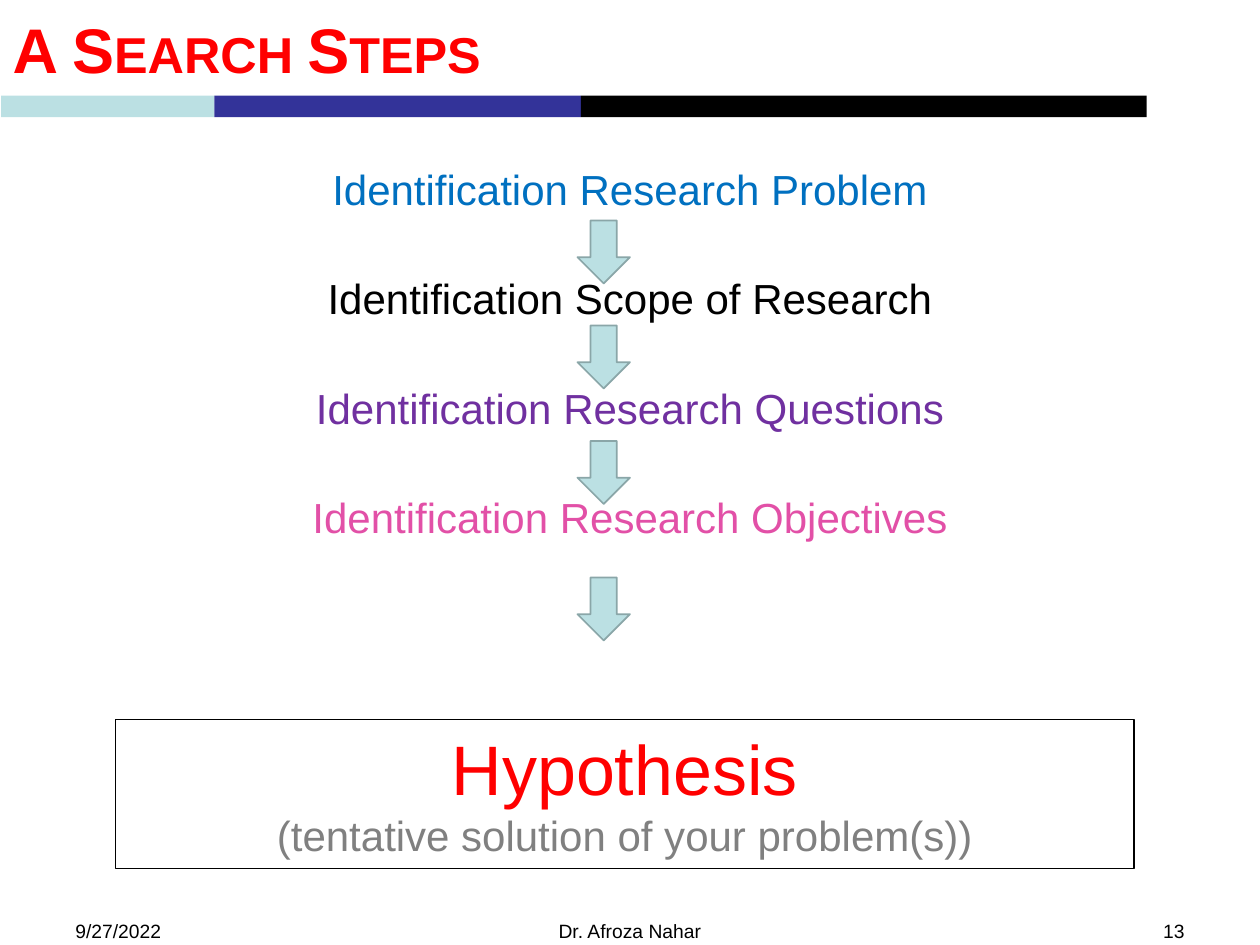
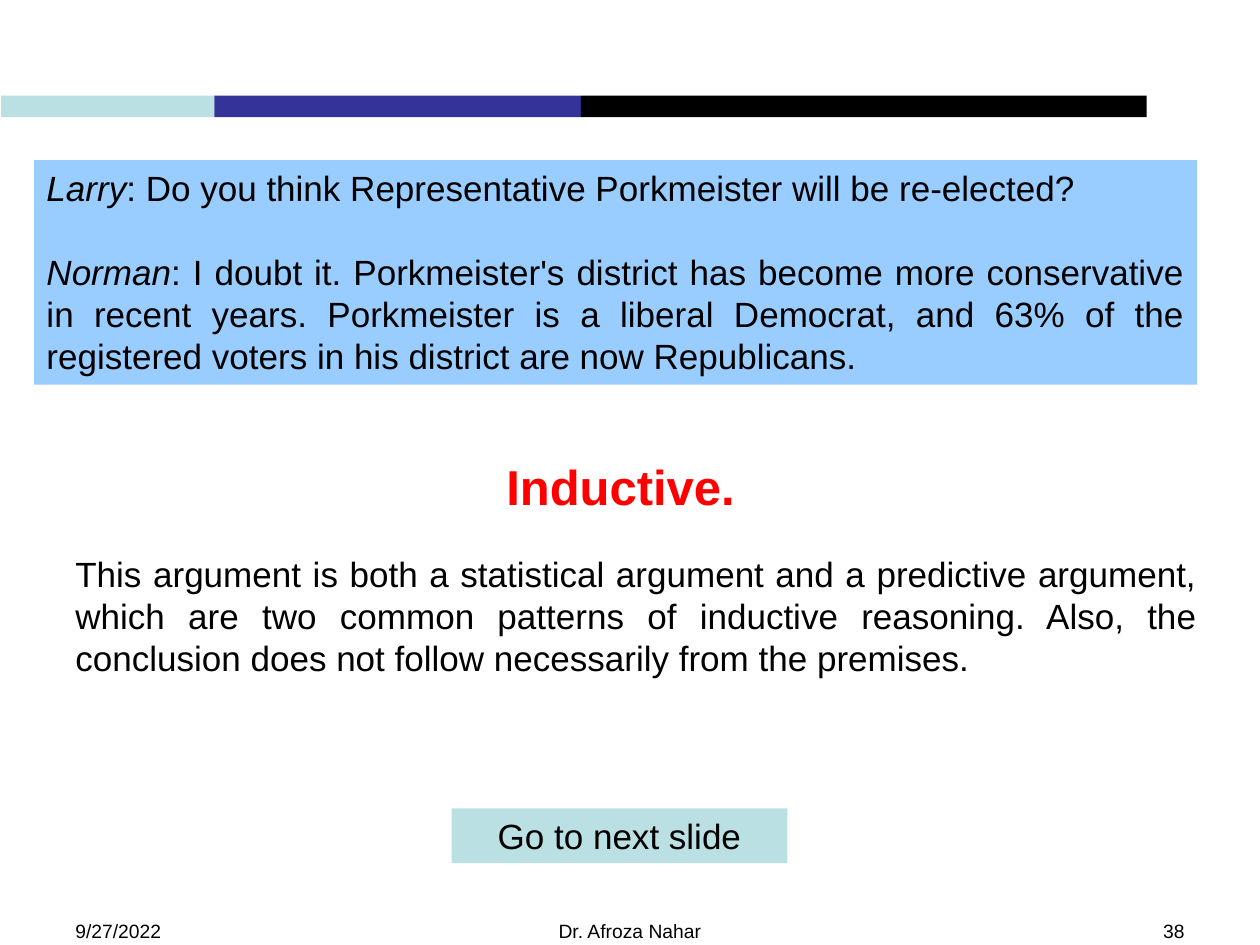
import pptx
import pptx.util
from pptx.dml.color import RGBColor
from pptx.enum.shapes import MSO_SHAPE
from pptx.enum.text import MSO_ANCHOR, MSO_AUTO_SIZE, PP_ALIGN

PALE_TEAL = RGBColor(0xBB, 0xE0, 0xE3)
TEAL_EDGE = RGBColor(0x8A, 0xA6, 0xA8)
INDIGO = RGBColor(0x33, 0x33, 0x99)
SKY = RGBColor(0x99, 0xCC, 0xFF)
BLACK = RGBColor(0, 0, 0)
RED = RGBColor(0xFF, 0, 0)
GREY = RGBColor(0x80, 0x80, 0x80)
BLUE = RGBColor(0x00, 0x70, 0xC0)
PURPLE = RGBColor(0x70, 0x30, 0xA0)
PINK = RGBColor(0xE2, 0x50, 0xA7)

FONT = "Arial"
LINE_HEIGHT = 1.2
COLUMNS, ROWS = 120, 90

presentation = pptx.Presentation()
presentation.slide_width = pptx.util.Inches(10)
presentation.slide_height = pptx.util.Inches(7.5)
column = presentation.slide_width / COLUMNS
row = presentation.slide_height / ROWS


def add_block(slide, left, top, width, height, fill=None, line=None, kind=MSO_SHAPE.RECTANGLE):
    area = [round(length) for length in (left * column, top * row, width * column, height * row)]
    if fill is None and line is None:
        return slide.shapes.add_textbox(*area)
    shape = slide.shapes.add_shape(kind, *area)
    shape.shadow.inherit = False
    if fill is None:
        shape.fill.background()
    else:
        shape.fill.solid()
        shape.fill.fore_color.rgb = fill
    if line is None:
        shape.line.fill.background()
    else:
        shape.line.color.rgb = line
    return shape


def write(shape, lines, align=PP_ALIGN.LEFT, anchor=MSO_ANCHOR.TOP, gap=0):
    frame = shape.text_frame
    frame.word_wrap = True
    frame.auto_size = MSO_AUTO_SIZE.NONE
    frame.vertical_anchor = anchor
    frame.text = "\n".join(text for text, size, color in lines)
    for index, (paragraph, (text, size, color)) in enumerate(zip(frame.paragraphs, lines)):
        paragraph.alignment = align
        paragraph.line_spacing = pptx.util.Pt(size * LINE_HEIGHT)
        paragraph.space_before = pptx.util.Pt(gap if index else 0)
        for run in paragraph.runs:
            run.font.name = FONT
            run.font.size = pptx.util.Pt(size)
            run.font.color.rgb = color
    return frame


steps_slide = presentation.slides.add_slide(presentation.slide_layouts[5])
inductive_slide = presentation.slides.add_slide(presentation.slide_layouts[6])

bands = [(0.12, 20.3, PALE_TEAL), (20.42, 34.9, INDIGO), (55.32, 53.88, BLACK)]
for slide, number in [(steps_slide, "13"), (inductive_slide, "38")]:
    for left, width, color in bands:
        add_block(slide, left, 9.12, width, 2.04, color)
    footers = [
        (6, 28, "9/27/2022", PP_ALIGN.LEFT),
        (41, 38, "Dr. Afroza Nahar", PP_ALIGN.CENTER),
        (86, 28, number, PP_ALIGN.RIGHT),
    ]
    for left, width, text, align in footers:
        write(add_block(slide, left, 87, width, 4.8), [(text, 11, BLACK)], align)

title = steps_slide.shapes.title
title.left, title.top = 0, 0
title.width, title.height = round(109.2 * column), round(9.12 * row)
write(title, [("A Search Steps", 36, RED)], anchor=MSO_ANCHOR.MIDDLE)
title_run = title.text_frame.paragraphs[0].runs[0]
title_run.font.bold = True
title_run._r.get_or_add_rPr().set("cap", "small")

steps = [
    ("Identification Research Problem", 24, BLUE),
    ("Identification Scope of Research", 24, BLACK),
    ("Identification Research Questions", 24, PURPLE),
    ("Identification Research Objectives", 24, PINK),
]
write(add_block(steps_slide, 0, 15, 120, 69.5), steps, PP_ALIGN.CENTER, gap=33.6)

for top in (21, 31, 42, 55):
    arrow = add_block(steps_slide, 55, top, 5, 6, PALE_TEAL, TEAL_EDGE, MSO_SHAPE.DOWN_ARROW)
    arrow.line.width = pptx.util.Pt(1)

hypothesis = add_block(steps_slide, 11, 68.55, 97, 14.15, line=BLACK)
hypothesis.line.width = pptx.util.Pt(0.75)
hypothesis_lines = [("Hypothesis", 40, RED), ("(tentative solution of your problem(s))", 24, GREY)]
write(hypothesis, hypothesis_lines, PP_ALIGN.CENTER)

dialogue = [
    ("Larry", ": Do you think Representative Porkmeister will be re-elected?"),
    ("Norman", ": I doubt it. Porkmeister's district has become more conservative in recent years. "
     "Porkmeister is a liberal Democrat, and 63% of the registered voters in his district "
     "are now Republicans."),
]
dialogue_box = add_block(inductive_slide, 3.25, 15.25, 110.75, 21.4, SKY)
speakers = [(speaker, 20, BLACK) for speaker, speech in dialogue]
frame = write(dialogue_box, speakers, PP_ALIGN.JUSTIFY, gap=24)
for paragraph, (speaker, speech) in zip(frame.paragraphs, dialogue):
    paragraph.runs[0].font.italic = True
    run = paragraph.add_run()
    run.text = speech
    run.font.name = FONT
    run.font.size = pptx.util.Pt(20)
    run.font.color.rgb = BLACK

explanation = (
    "This argument is both a statistical argument and a predictive argument, which are two common "
    "patterns of inductive reasoning. Also, the conclusion does not follow necessarily from the premises."
)
explanation_box = add_block(inductive_slide, 6, 48, 109.2, 21.25)
write(explanation_box, [(explanation, 20, BLACK)], PP_ALIGN.JUSTIFY, MSO_ANCHOR.MIDDLE)

verdict_box = add_block(inductive_slide, 3, 42.85, 112.2, 6.8)
frame = write(verdict_box, [("Inductive.", 28, RED)], PP_ALIGN.CENTER)
frame.paragraphs[0].runs[0].font.bold = True

next_button = add_block(inductive_slide, 43, 77, 32, 5.2, PALE_TEAL)
write(next_button, [("Go to next slide", 20, BLACK)], PP_ALIGN.CENTER)

presentation.save("out.pptx")
